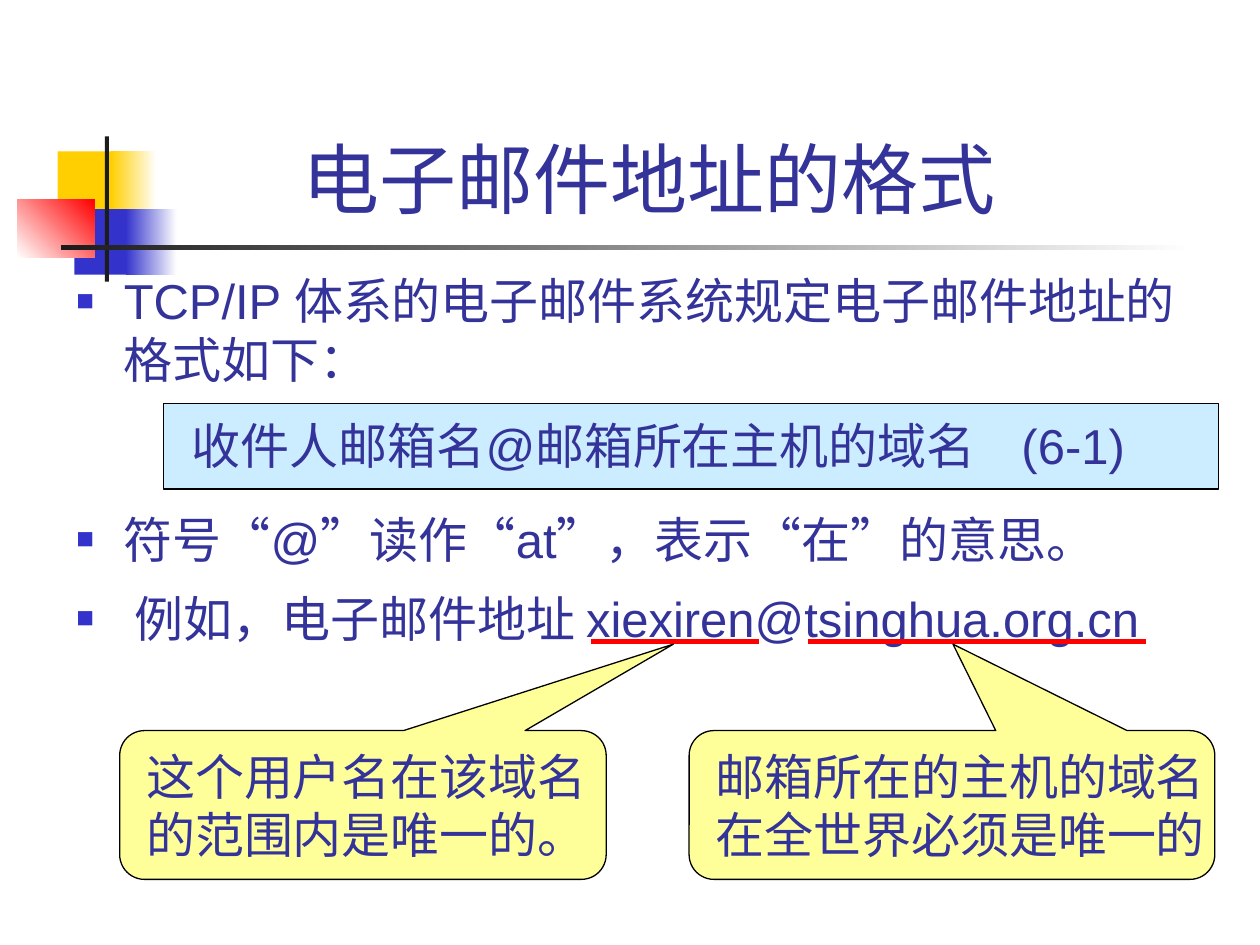
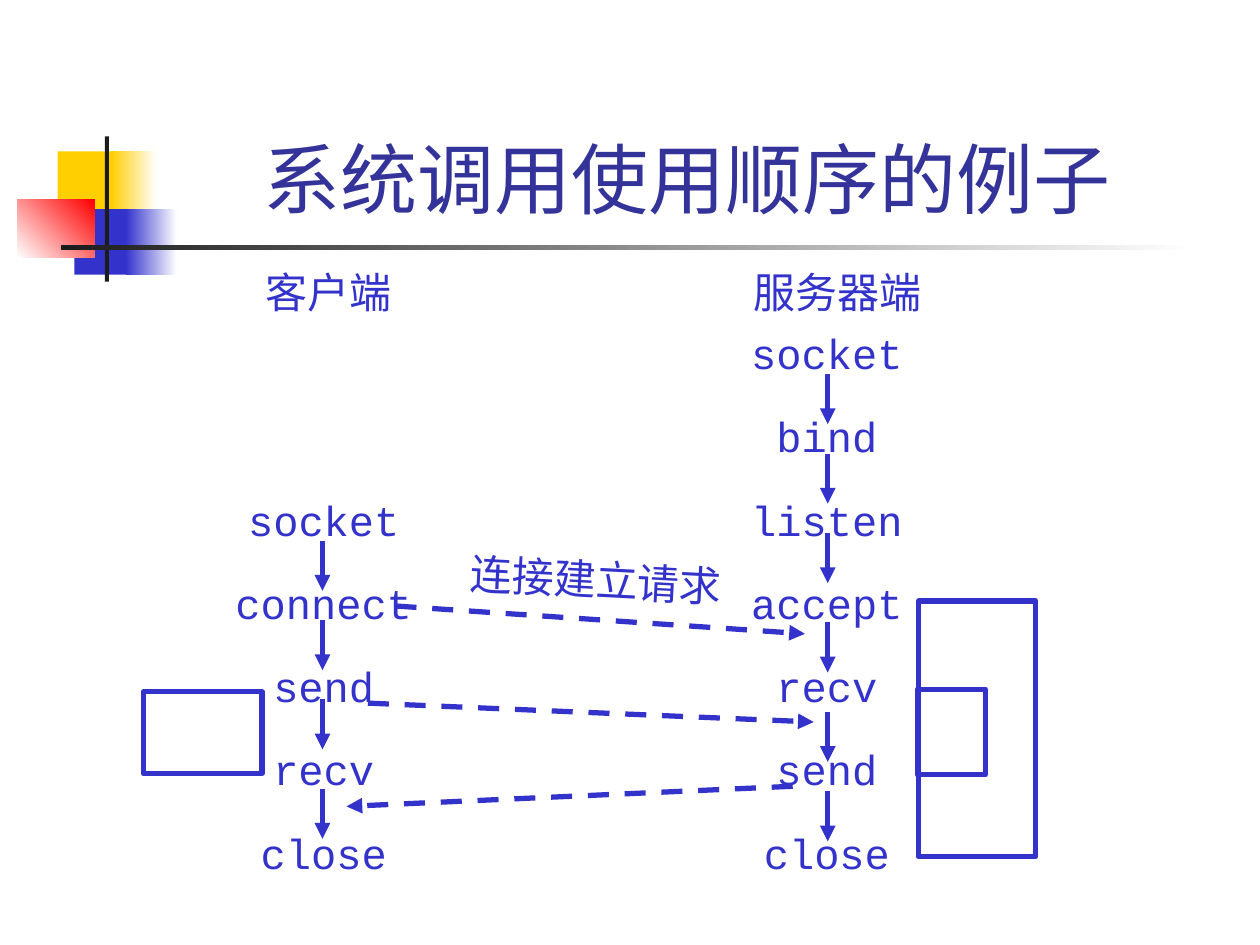
"""Build two slides on e-mail addresses and socket system calls."""
import pptx
import pptx.util
import pptx.dml.color
import pptx.enum.dml
import pptx.enum.shapes
import pptx.enum.text
import pptx.oxml
import pptx.oxml.ns
from lxml import etree

Pt = pptx.util.Pt
SHAPE = pptx.enum.shapes.MSO_SHAPE
ALIGN = pptx.enum.text.PP_ALIGN
ANCHOR = pptx.enum.text.MSO_ANCHOR
qn = pptx.oxml.ns.qn

COLORS = {
    "navy": "333399", "blue": "3333CC", "gold": "FFCF01", "red": "FF0000",
    "ink": "1C1C1C", "white": "FFFFFF", "black": "000000",
    "sky": "CCECFF", "cream": "FFFF99",
}
SANS, MONO, CJK = "Arial", "Courier New", "Noto Sans CJK SC"

BANDS = [
    ((33, 86.5, 34.5, 37.5), ("gold",), 0),
    ((63.5, 86.5, 26, 37.5), ("gold", "white"), 0),
    ((42.5, 119.5, 33, 37.5), ("blue",), 0),
    ((72, 119.5, 29, 37.5), ("blue", "white"), 0),
    ((10, 114, 44, 33), ("white", "red"), 45),
    ((60, 78, 2.2, 83), ("ink",), 0),
    ((35, 140.2, 648, 2.4), ("ink", "white"), 0),
]

ADDRESS_TITLE = ("电子邮件地址的格式", (31, 16.5, 680, 115))
ADDRESS_BODY = (36.5, 151, 657.5, 357)
FORMULA_BOX = (93.6, 230.4, 602.6, 49)
FORMULA_INDENT, NUMBER_TAB = 66, 584.5
ADDRESS_LINES = [
    ("TCP/IP 体系的电子邮件系统规定电子邮件地址的格式如下：", True, 0, 0),
    ("收件人邮箱名@邮箱所在主机的域名\t(6-1)", False, 15.8, 15.8),
    ("符号“@”读作“at”，表示“在”的意思。", True, 4, 11.5),
    (" 例如，电子邮件地址 xiexiren@tsinghua.org.cn", True, 0, 0),
]
UNDERLINE_Y = 366.5
CALLOUTS = [
    (("邮箱所在的主机的域名", "在全世界必须是唯一的"),
     (393.8, 417.5, 300.4, 85), 0.002, (462, 655)),
    (("这个用户名在该域名", "的范围内是唯一的。"),
     (68.4, 417.5, 278, 85), 0.638, (337.5, 433.5)),
]

CALLS_TITLE = ("系统调用使用顺序的例子", (91, 16.5, 604, 115))
ROW_TOP, ROW_STEP, LABEL_W, LABEL_H = 183.6, 47.6, 130, 36
ARROW_LENGTH = 28.6
SIDES = [
    {"heading": "客户端", "heading_x": 144.7, "center": 185, "arrow_x": 184.3,
     "first_row": 2, "calls": ["socket", "connect", "send", "recv", "close"],
     "arrow_tops": [309, 354.3, 399.6, 450.7]},
    {"heading": "服务器端", "heading_x": 423.4, "center": 472.5, "arrow_x": 473,
     "first_row": 0,
     "calls": ["socket", "bind", "listen", "accept", "recv", "send", "close"],
     "arrow_tops": [213.8, 259.2, 304.6, 355.7, 406.8, 452.2]},
]
LOOPS = [(82, 395.3, 67.7, 46.8), (524.2, 393.8, 38.9, 49), (524.9, 343.4, 67, 146.2)]
MESSAGES = [
    (210.2, 401.8, 465, 412.6),
    (453, 449.3, 198, 460.8),
    (226, 346.3, 460, 362.2),
]
REQUEST = ("连接建立请求", (261.4, 313.2, 165, 36), 3)


def rgb(name):
    return pptx.dml.color.RGBColor.from_string(COLORS[name])


def place(sp, box):
    sp.left, sp.top, sp.width, sp.height = map(Pt, box)


def add_child(parent, tag, **attrs):
    return etree.SubElement(parent, qn(tag), attrs)


def add_text(p, text, size, color, font=SANS, align=ALIGN.LEFT):
    p.alignment = align
    r = p.add_run()
    r.text = text
    r.font.size, r.font.name = Pt(size), font
    r.font.color.rgb = rgb(color)


def add_box(s, box, fills=(), line=None, weight=0.75, angle=0, kind=SHAPE.RECTANGLE):
    sp = s.shapes.add_shape(kind, *map(Pt, box))
    sp.shadow.inherit = False
    if len(fills) == 2:
        sp.fill.gradient()
        sp.fill.gradient_angle = angle
        for stop, name in zip(sp.fill.gradient_stops, fills):
            stop.color.rgb = rgb(name)
    elif fills:
        sp.fill.solid()
        sp.fill.fore_color.rgb = rgb(fills[0])
    else:
        sp.fill.background()
    if line:
        sp.line.color.rgb, sp.line.width = rgb(line), Pt(weight)
    else:
        sp.line.fill.background()
    return sp


def add_line(s, x1, y1, x2, y2, color, arrow=False, dashed=False):
    c = s.shapes.add_connector(
        pptx.enum.shapes.MSO_CONNECTOR.STRAIGHT, *map(Pt, (x1, y1, x2, y2)))
    c.line.color.rgb, c.line.width = rgb(color), Pt(3)
    if dashed:
        c.line.dash_style = pptx.enum.dml.MSO_LINE.DASH
    if arrow:
        add_child(c.element.find(".//" + qn("a:ln")), "a:tailEnd", type="triangle")
    add_child(c.element.spPr, "a:effectLst")


def add_label(s, box, text, font=SANS, align=ALIGN.LEFT):
    sp = s.shapes.add_textbox(*map(Pt, box))
    sp.text_frame.word_wrap = True
    add_text(sp.text_frame.paragraphs[0], text, 24, "blue", font, align)
    return sp


def add_slide(prs, layout, title, box):
    s = prs.slides.add_slide(prs.slide_layouts[layout])
    sp = s.shapes.title
    for band, fills, angle in BANDS:
        sp.element.addprevious(add_box(s, band, fills, angle=angle).element)
    place(sp, box)
    tf = sp.text_frame
    tf.auto_size = pptx.enum.text.MSO_AUTO_SIZE.NONE
    tf.vertical_anchor = ANCHOR.BOTTOM
    add_text(tf.paragraphs[0], title, 44, "navy", align=ALIGN.CENTER)
    return s


def format_line(p, bulleted, before, after):
    p.space_before, p.space_after = Pt(before), Pt(after)
    pPr = p._p.get_or_add_pPr()
    margin, indent = (27, -27) if bulleted else (0, FORMULA_INDENT)
    pPr.set("marL", str(Pt(margin)))
    pPr.set("indent", str(Pt(indent)))
    if bulleted:
        add_child(add_child(pPr, "a:buClr"), "a:srgbClr", val=COLORS["blue"])
        add_child(pPr, "a:buSzPct", val="60000")
        add_child(pPr, "a:buFont", typeface=SANS)
        add_child(pPr, "a:buChar", char="■")
    else:
        add_child(pPr, "a:buNone")
        add_child(add_child(pPr, "a:tabLst"), "a:tab", pos=str(Pt(NUMBER_TAB)), algn="l")


def build_address(prs):
    s = add_slide(prs, 1, *ADDRESS_TITLE)
    formula = add_box(s, FORMULA_BOX, ("sky",), "black")
    s.shapes.title.element.addprevious(formula.element)
    body = s.placeholders[1]
    place(body, ADDRESS_BODY)
    tf = body.text_frame
    tf.auto_size = pptx.enum.text.MSO_AUTO_SIZE.NONE
    for i, (text, bulleted, before, after) in enumerate(ADDRESS_LINES):
        p = tf.add_paragraph() if i else tf.paragraphs[0]
        format_line(p, bulleted, before, after)
        add_text(p, text, 28, "navy")
    for lines, box, pointer, (x1, x2) in CALLOUTS:
        add_line(s, x1, UNDERLINE_Y, x2, UNDERLINE_Y, "red")
        sp = add_box(s, box, ("cream",), "black", kind=SHAPE.ROUNDED_RECTANGULAR_CALLOUT)
        for i, value in enumerate((pointer, -1.081, 0.167)):
            sp.adjustments[i] = value
        tf = sp.text_frame
        tf.word_wrap, tf.vertical_anchor = True, ANCHOR.MIDDLE
        tf.margin_left, tf.margin_right = Pt(11), 0
        for i, text in enumerate(lines):
            p = tf.add_paragraph() if i else tf.paragraphs[0]
            add_text(p, text, 28, "navy", CJK)


def build_calls(prs):
    s = add_slide(prs, 5, *CALLS_TITLE)
    for side in SIDES:
        add_label(s, (side["heading_x"], 149, LABEL_W, LABEL_H), side["heading"])
        for row, call in enumerate(side["calls"], side["first_row"]):
            box = (side["center"] - LABEL_W / 2, ROW_TOP + row * ROW_STEP, LABEL_W, LABEL_H)
            add_label(s, box, call, MONO, ALIGN.CENTER)
        x = side["arrow_x"]
        for top in side["arrow_tops"]:
            add_line(s, x, top, x, top + ARROW_LENGTH, "blue", arrow=True)
    for box in LOOPS:
        add_box(s, box, line="blue", weight=3)
    for ends in MESSAGES:
        add_line(s, *ends, "blue", arrow=True, dashed=True)
    text, box, angle = REQUEST
    add_label(s, box, text).rotation = angle


def main():
    prs = pptx.Presentation()
    prs.slide_width, prs.slide_height = Pt(720), Pt(540)
    build_address(prs)
    build_calls(prs)
    prs.save("out.pptx")


if __name__ == "__main__":
    main()
